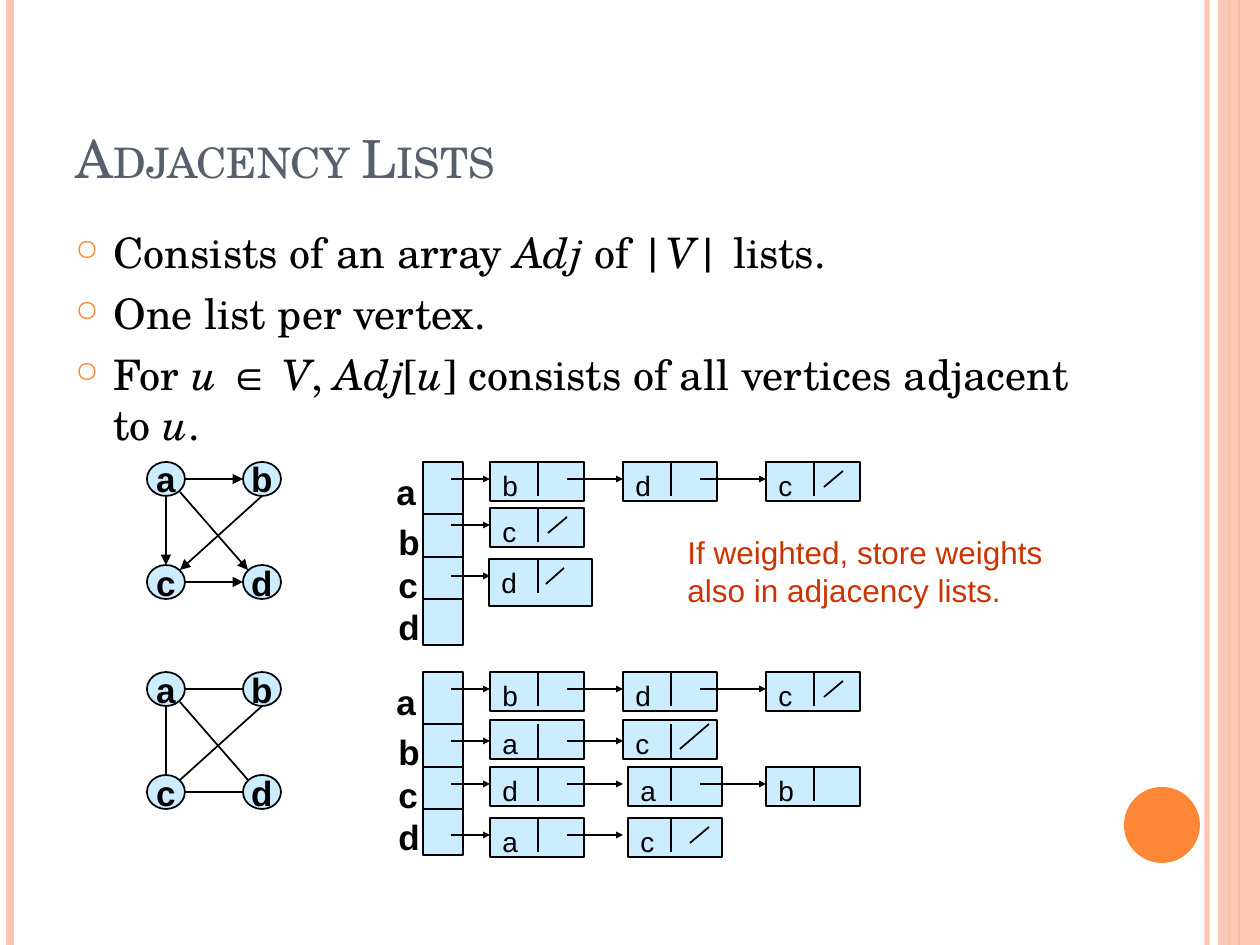
from dataclasses import dataclass
from typing import Any, NamedTuple, Optional

from lxml.etree import SubElement
from pptx import Presentation
from pptx.dml.color import RGBColor
from pptx.enum.shapes import MSO_CONNECTOR as Conn, MSO_SHAPE as Shape
from pptx.enum.text import MSO_ANCHOR as Anchor, PP_ALIGN as Align
from pptx.oxml.ns import qn
from pptx.util import Pt

PX = 914400 / 126


@dataclass(frozen=True)
class Theme:
    serif: str = "TeX Gyre Schola"
    sans: str = "Arial"
    ink: str = "000000"
    title: str = "575F6D"
    accent: str = "FE8637"
    pale: str = "FEC3AE"
    box: str = "CCECFF"
    note: str = "CC3300"
    title_pt: int = 30
    body_pt: int = 24
    label_pt: int = 20
    note_pt: int = 18
    cell_pt: int = 16


class Rect(NamedTuple):
    x: int
    y: int
    w: int
    h: int


class Slash(NamedTuple):
    right: int = 77
    left: int = 58
    top: int = 9


class Cell(NamedTuple):
    label: str
    col: int
    slash: Optional[Slash] = None
    shift: int = 0
    w: int = 94
    h: int = 39


class Row(NamedTuple):
    box_y: int
    split_y: int
    cells: tuple[Cell, ...]


class Diagram(NamedTuple):
    top: int
    directed: bool
    rows: tuple[Row, ...]


class Rule(NamedTuple):
    x: int
    color: str
    pt: float
    alpha: int = 100


T = Theme()
COL1, COL2, COL3 = 490, 623, 766
NODE_W, NODE_H = 38, 34
NODES = {"a": (147, 0), "b": (243, 0), "c": (147, 103), "d": (243, 103)}
EDGES = ((185, 17, 243, 17), (262, 34, 180, 108), (166, 34, 166, 103),
         (180, 30, 248, 108), (185, 120, 243, 120))
ARRAY = Rect(423, 0, 40, 183)
SLOTS = {"a": 2, "b": 52, "c": 95, "d": 137}
ROW_ABC = Row(0, 0, (Cell("b", COL1), Cell("d", COL2), Cell("c", COL3, Slash())))
DIAGRAMS = (
    Diagram(462, True, (
        ROW_ABC,
        Row(46, 46, (Cell("c", COL1, Slash()),)),
        Row(97, 97, (Cell("d", COL1, Slash(74, 56), -1, 103, 47),)),
    )),
    Diagram(672, False, (
        ROW_ABC,
        Row(48, 52, (Cell("a", COL1), Cell("c", COL2, Slash(86, 57, 0)))),
        Row(95, 95, (Cell("d", COL1), Cell("a", COL2, None, 5), Cell("b", COL3))),
        Row(146, 146, (Cell("a", COL1), Cell("c", COL2, Slash(86, 67), 5))),
    )),
)
RULES = (Rule(1207, T.pale, 3, 93), Rule(10, T.pale, 4.5),
         Rule(1239, T.accent, 1.5), Rule(1229, T.accent, 0.75))
BULLETS = (
    (("Consists of an array ", False), ("Adj", True), (" of |", False),
     ("V", True), ("| lists.", False)),
    (("One list per vertex.", False),),
    (("For ", False), ("u ", True), ("∈ ", False), ("V", True), (", ", False),
     ("Adj", True), ("[", False), ("u", True),
     ("] consists of all vertices adjacent to ", False), ("u", True), (".", False)),
)


def emu(*px: int) -> list[int]:
    return [round(v * PX) for v in px]


def apply(obj: Any, **values: Any) -> None:
    for name, value in values.items():
        setattr(obj, name, value)


def set_alpha(element: Any, percent: int) -> None:
    for clr in element.spPr.iter(qn("a:srgbClr")):
        SubElement(clr, qn("a:alpha"), val=str(percent * 1000))


def add_run(p: Any, text: str, size: int, color: str, font: str = T.sans,
            **values: Any) -> Any:
    r = p.add_run()
    r.text = text
    apply(r.font, name=font, size=Pt(size), **values)
    r.font.color.rgb = RGBColor.from_string(color)
    return r


def line(s: Any, x1: int, y1: int, x2: int, y2: int, color: str = T.ink,
         pt: float = 1, head: str = "") -> Any:
    c = s.shapes.add_connector(Conn.STRAIGHT, *emu(x1, y1, x2, y2))
    c.line.color.rgb = RGBColor.from_string(color)
    c.line.width = Pt(pt)
    if head:
        SubElement(c.line._get_or_add_ln(), qn("a:tailEnd"),
                   type="triangle", w=head, len=head)
    SubElement(c._element.spPr, qn("a:effectLst"))
    return c


def shape(s: Any, kind: Any, box: Rect, fill: str, outlined: bool = True) -> Any:
    sp = s.shapes.add_shape(kind, *emu(*box))
    sp.shadow.inherit = False
    sp.fill.solid()
    sp.fill.fore_color.rgb = RGBColor.from_string(fill)
    if outlined:
        sp.line.color.rgb = RGBColor.from_string(T.ink)
        sp.line.width = Pt(1)
    else:
        sp.line.fill.background()
    return sp


def text_box(s: Any, box: Rect, **values: Any) -> Any:
    tf = s.shapes.add_textbox(*emu(*box)).text_frame
    apply(tf, word_wrap=True, **values)
    return tf


def draw_cell(s: Any, cell: Cell, row: Row, top: int) -> None:
    box = Rect(cell.col + cell.shift, top + row.box_y, cell.w, cell.h)
    tf = shape(s, Shape.RECTANGLE, box, T.box).text_frame
    apply(tf, word_wrap=True, vertical_anchor=Anchor.TOP)
    p = tf.paragraphs[0]
    p.alignment = Align.LEFT
    add_run(p, cell.label, T.cell_pt, T.ink)
    y = top + row.split_y
    line(s, cell.col + 48, y, cell.col + 48, y + 34)
    if cell.slash:
        line(s, cell.col + cell.slash.right, y + cell.slash.top,
             cell.col + cell.slash.left, y + 25)


def draw_graph(s: Any, d: Diagram) -> None:
    for label, (x, dy) in NODES.items():
        box = Rect(x, d.top + dy, NODE_W, NODE_H)
        tf = shape(s, Shape.OVAL, box, T.box).text_frame
        apply(tf, word_wrap=False, vertical_anchor=Anchor.MIDDLE)
        p = tf.paragraphs[0]
        p.alignment = Align.CENTER
        add_run(p, label, T.label_pt, T.ink, bold=True)
    for x1, y1, x2, y2 in EDGES:
        line(s, x1, d.top + y1, x2, d.top + y2, head="med" if d.directed else "")


def draw_lists(s: Any, d: Diagram) -> None:
    shape(s, Shape.RECTANGLE, ARRAY._replace(y=d.top), T.box)
    for i, (label, dy) in enumerate(SLOTS.items()):
        y = d.top + dy
        tf = text_box(s, Rect(386 if i else 384, y, 40, 44), margin_right=0)
        add_run(tf.paragraphs[0], label, T.label_pt, T.ink, bold=True)
        if i:
            line(s, ARRAY.x, y, ARRAY.x + ARRAY.w - 1, y)
    for row in d.rows:
        for cell in row.cells:
            draw_cell(s, cell, row, d.top)
        y = d.top + row.split_y + 17
        starts = [451] + [cell.col + 77 for cell in row.cells]
        for start, cell in zip(starts, row.cells):
            line(s, start, y, cell.col, y, head="sm")


def draw_frame(s: Any) -> None:
    for rule in RULES:
        c = line(s, rule.x, 0, rule.x, 945, rule.color, rule.pt)
        if rule.alpha < 100:
            set_alpha(c._element, rule.alpha)
    band = shape(s, Shape.RECTANGLE, Rect(1218, 0, 42, 945), T.pale, False)
    set_alpha(band._element, 87)
    shape(s, Shape.OVAL, Rect(1124, 787, 76, 76), T.accent, False)


def draw_text(s: Any) -> None:
    tf = text_box(s, Rect(63, 38, 1029, 157), vertical_anchor=Anchor.BOTTOM)
    r = add_run(tf.paragraphs[0], "Adjacency Lists", T.title_pt, T.title, T.serif)
    r.font._element.set("cap", "small")
    tf = text_box(s, Rect(63, 220, 1029, 672))
    for i, runs in enumerate(BULLETS):
        p = tf.add_paragraph() if i else tf.paragraphs[0]
        p.space_before = Pt(6)
        pPr = p._p.get_or_add_pPr()
        indent, = emu(38)
        pPr.set("marL", str(indent))
        pPr.set("indent", str(-indent))
        SubElement(SubElement(pPr, qn("a:buClr")), qn("a:srgbClr"), val=T.accent)
        SubElement(pPr, qn("a:buSzPct"), val="70000")
        SubElement(pPr, qn("a:buChar"), char="○")
        for text, italic in runs:
            add_run(p, text, T.body_pt, T.ink, T.serif, italic=italic)
    tf = text_box(s, Rect(675, 527, 406, 89))
    add_run(tf.paragraphs[0], "If weighted, store weights also in adjacency lists.",
            T.note_pt, T.note)


def main() -> None:
    prs = Presentation()
    prs.slide_width, prs.slide_height = emu(1260, 945)
    s = prs.slides.add_slide(prs.slide_layouts[6])
    draw_frame(s)
    draw_text(s)
    for d in DIAGRAMS:
        draw_graph(s, d)
        draw_lists(s, d)
    prs.save("out.pptx")


if __name__ == "__main__":
    main()
